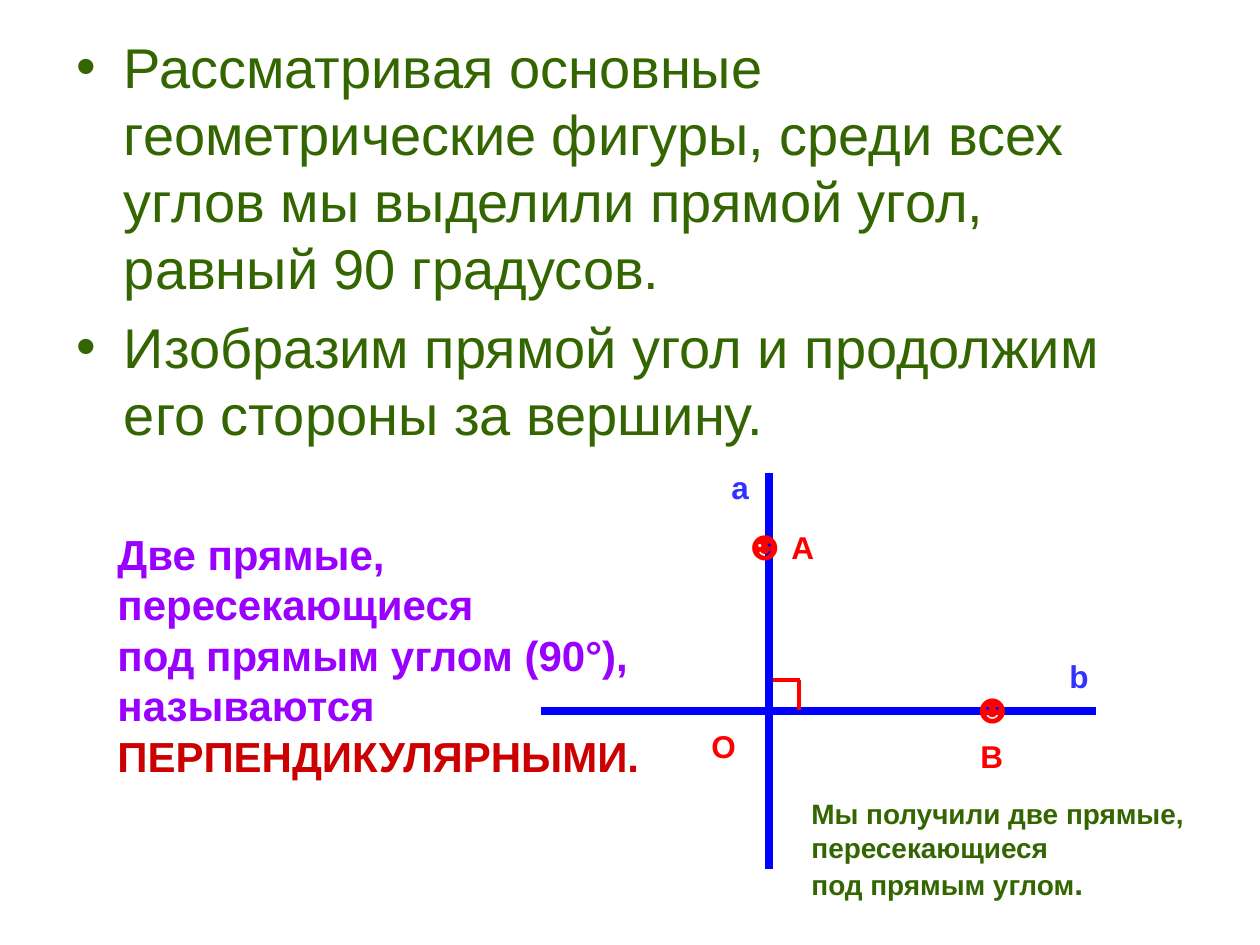
"""Build a slide that introduces perpendicular lines."""
from pptx import Presentation
from pptx import util as u
from pptx.dml.color import RGBColor
from pptx.enum import shapes, text
from pptx.oxml.ns import qn
from lxml import etree

THEME = {
    "font": "Arial",
    "green": "336600", "blue": "0000FF", "red": "FF0000",
    "label_blue": "3333FF", "violet": "9900FF", "crimson": "CC0000",
    "body": 32, "large": 24, "label": 18, "note": 16,
    "axis": 4.5, "mark": 2.25,
}

BODY_BOX = (64, 26, 1134, 446)
BODY = [
    "Рассматривая основные геометрические фигуры, среди всех углов мы выделили прямой угол, равный 90 градусов.",
    "Изобразим прямой угол и продолжим его стороны за вершину.",
]

LINES = [
    ((541, 711), (1096, 711), "blue", "axis"),
    ((799, 680), (799, 710), "red", "mark"),
    ((769, 680), (800, 680), "red", "mark"),
    ((769, 473), (769, 869), "blue", "axis"),
]

LABELS = [
    ("☻", (958, 675, 81, 63), "large", "red", 0),
    ("☻", (730, 512, 81, 63), "large", "red", 357),
    ("O", (699, 721, 59, 50), "label", "red", 0),
    ("В", (968, 731, 48, 50), "label", "red", 0),
    ("А", (779, 522, 57, 50), "label", "red", 0),
    ("a", (719, 462, 43, 50), "label", "label_blue", 0),
    ("b", (1057, 651, 44, 50), "label", "label_blue", 0),
]

NOTE_BOX = (799, 790, 408, 118)
NOTE = [
    [("Мы получили две прямые,", "note", "green")],
    [("пересекающиеся", "note", "green")],
    [("под прямым углом", "note", "green"), (".", "label", "green")],
]

DEFINITION_BOX = (105, 522, 576, 265)
DEFINITION = [
    [("Две прямые,", "large", "violet")],
    [("пересекающиеся", "large", "violet")],
    [("под прямым углом (90°),", "large", "violet")],
    [("называются", "large", "violet")],
    [("ПЕРПЕНДИКУЛЯРНЫМИ.", "large", "crimson")],
]


def px(n):
    return u.Emu(round(n * 914400 / 126))


def color(name):
    return RGBColor.from_string(THEME[name])


def style(r, size, tint, bold):
    r.font.name = THEME["font"]
    r.font.size = u.Pt(THEME[size])
    r.font.bold = bold
    r.font.color.rgb = color(tint)


def add_body(s):
    sp = s.placeholders[1]
    sp.left, sp.top, sp.width, sp.height = map(px, BODY_BOX)
    tf = sp.text_frame
    tf.text = "\n".join(BODY)
    tf.auto_size = text.MSO_AUTO_SIZE.NONE
    for p in tf.paragraphs:
        style(p.runs[0], "body", "green", False)


def add_line(s, start, end, tint, width):
    c = s.shapes.add_connector(
        shapes.MSO_CONNECTOR.STRAIGHT, *map(px, start + end))
    c.line.color.rgb = color(tint)
    c.line.width = u.Pt(THEME[width])
    etree.SubElement(c._element.spPr, qn("a:effectLst"))


def add_text(s, box, paragraphs, wrap=True, rotation=0):
    sp = s.shapes.add_textbox(*map(px, box))
    sp.rotation = rotation
    tf = sp.text_frame
    tf.word_wrap = wrap
    tf.vertical_anchor = text.MSO_ANCHOR.MIDDLE
    for i, runs in enumerate(paragraphs):
        p = tf.add_paragraph() if i else tf.paragraphs[0]
        for words, size, tint in runs:
            r = p.add_run()
            r.text = words
            style(r, size, tint, True)


def main():
    prs = Presentation()
    prs.slide_width, prs.slide_height = px(1260), px(945)
    s = prs.slides.add_slide(prs.slide_layouts[1])
    title = s.shapes.title._element
    title.getparent().remove(title)
    add_body(s)
    for line in LINES:
        add_line(s, *line)
    for words, box, size, tint, rotation in LABELS:
        add_text(s, box, [[(words, size, tint)]], False, rotation)
    add_text(s, NOTE_BOX, NOTE)
    add_text(s, DEFINITION_BOX, DEFINITION)
    prs.save("out.pptx")


if __name__ == "__main__":
    main()
